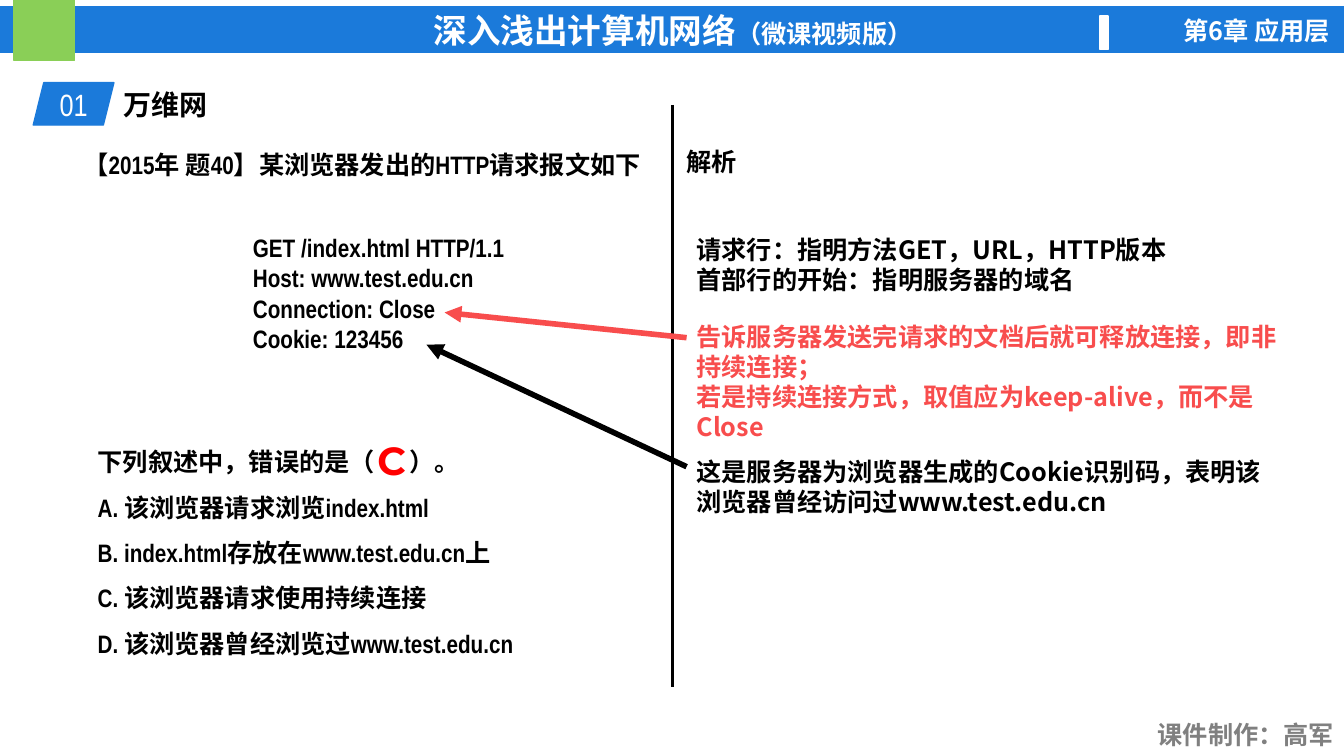
import pptx
import pptx.chart.data
import pptx.dml.color
import pptx.enum.shapes
import pptx.enum.text
import pptx.oxml
import pptx.oxml.ns
import pptx.util

PX = 9144
HUES = {"blue": "1B7ADA", "green": "8ACF57", "white": "FFFFFF", "black": "000000",
        "gray": "808080", "coral": "F84D4D", "red": "FF0000"}
NARROW, SANS, ROUND = "Arial Narrow", "Noto Sans CJK SC", "Montserrat"
FORMS = pptx.enum.shapes.MSO_SHAPE
ALIGN = pptx.enum.text.PP_ALIGN
ANCHOR = pptx.enum.text.MSO_ANCHOR
FIT = pptx.enum.text.MSO_AUTO_SIZE


def hue(name):
    return pptx.dml.color.RGBColor.from_string(HUES[name])


def scale(*sizes):
    return [size * PX for size in sizes]


def add(parent, tag, **attrs):
    node = pptx.oxml.parse_xml(f"<{tag} {pptx.oxml.ns.nsdecls('a')}/>")
    for key, value in attrs.items():
        node.set(key, str(value))
    parent.append(node)
    return node


def write(frame, text, size=18, font=NARROW, color="black", bold=True,
          align=ALIGN.LEFT, anchor=ANCHOR.MIDDLE, space=None, tab=None,
          small=None, wrap=True, grow=False):
    frame.word_wrap = wrap
    frame.vertical_anchor = ANCHOR.TOP if grow else anchor
    frame.auto_size = FIT.SHAPE_TO_FIT_TEXT if grow else FIT.NONE
    for index, line in enumerate(text.split("\n")):
        para = frame.add_paragraph() if index else frame.paragraphs[0]
        para.alignment = align
        if space:
            para.line_spacing = space
        if tab and "\t" in line:
            stops = add(para._p.get_or_add_pPr(), "a:tabLst")
            add(stops, "a:tab", pos=tab * PX, algn="l")
        parts = [(line, size)] + ([small] if small else [])
        for words, points in parts:
            run = para.add_run()
            run.text = words
            run.font.size = pptx.util.Pt(points)
            run.font.bold = bold
            run.font.color.rgb = hue(color)
            run.font.name = font
            add(run._r.get_or_add_rPr(), "a:ea", typeface=SANS)


def block(slide, box, color, form=FORMS.RECTANGLE):
    shape = slide.shapes.add_shape(form, *scale(*box))
    shape.shadow.inherit = False
    shape.fill.solid()
    shape.fill.fore_color.rgb = hue(color)
    shape.line.color.rgb = hue(color)
    shape.line.width = pptx.util.Pt(1)
    return shape.text_frame


def label(slide, box, text, **style):
    write(slide.shapes.add_textbox(*scale(*box)).text_frame, text, **style)


def link(slide, ends, color="black", width=4, arrow=True):
    kind = pptx.enum.shapes.MSO_CONNECTOR.STRAIGHT
    line = slide.shapes.add_connector(kind, *scale(*ends))
    line.line.color.rgb = hue(color)
    line.line.width = pptx.util.Pt(width)
    if arrow:
        add(line.line._get_or_add_ln(), "a:tailEnd", type="triangle")
    add(line._element.spPr, "a:effectLst")


def header(slide):
    bar = block(slide, (0, 7, 1335, 45), "blue")
    write(bar, "深入浅出计算机网络", size=24, color="white", align=ALIGN.CENTER,
          small=("（微课视频版）", 18))
    block(slide, (14, 0, 60, 60), "green")
    block(slide, (1091, 16, 8, 33), "white")
    label(slide, (1111, 10, 218, 40), "第6章 应用层", font=SANS, color="white",
          align=ALIGN.RIGHT, grow=True)
    label(slide, (1134, 709, 199, 40), "课件制作：高军", color="gray",
          align=ALIGN.RIGHT, grow=True)
    badge = block(slide, (33, 82, 80, 42), "blue", FORMS.PARALLELOGRAM)
    write(badge, "01", size=22, color="white", bold=False, align=ALIGN.CENTER, wrap=False)
    label(slide, (113, 82, 619, 44), "万维网", size=20, grow=True)


def question(slide):
    label(slide, (73, 140, 579, 47), "【2015年 题40】某浏览器发出的HTTP请求报文如下")
    label(slide, (241, 215, 302, 151),
          "GET /index.html HTTP/1.1\nHost: www.test.edu.cn\n"
          "Connection: Close\nCookie: 123456")
    label(slide, (87, 428, 495, 225),
          "下列叙述中，错误的是（\t）。\n"
          "A. 该浏览器请求浏览index.html\n"
          "B. index.html存放在www.test.edu.cn上\n"
          "C. 该浏览器请求使用持续连接\n"
          "D. 该浏览器曾经浏览过www.test.edu.cn", space=1.5, tab=309)
    label(slide, (340, 428, 97, 57), "C", size=28, font=ROUND, color="red",
          align=ALIGN.CENTER, grow=True)


def answer(slide):
    link(slide, (667, 104, 667, 682), width=2, arrow=False)
    label(slide, (671, 140, 80, 40), "解析", grow=True)
    label(slide, (681, 224, 550, 76),
          "请求行：指明方法GET，URL，HTTP版本\n首部行的开始：指明服务器的域名", font=SANS)
    label(slide, (681, 317, 599, 123),
          "告诉服务器发送完请求的文档后就可释放连接，即非持续连接；\n"
          "若是持续连接方式，取值应为keep-alive，而不是Close", font=SANS, color="coral")
    link(slide, (681, 335, 441, 310), "coral")
    label(slide, (681, 445, 599, 75),
          "这是服务器为浏览器生成的Cookie识别码，表明该浏览器曾经访问过www.test.edu.cn",
          font=SANS)
    link(slide, (681, 463, 423, 342))


def main():
    deck = pptx.Presentation()
    deck.slide_width, deck.slide_height = scale(1333, 750)
    slide = deck.slides.add_slide(deck.slide_layouts[6])
    header(slide)
    question(slide)
    answer(slide)
    deck.save("out.pptx")


if __name__ == "__main__":
    main()
